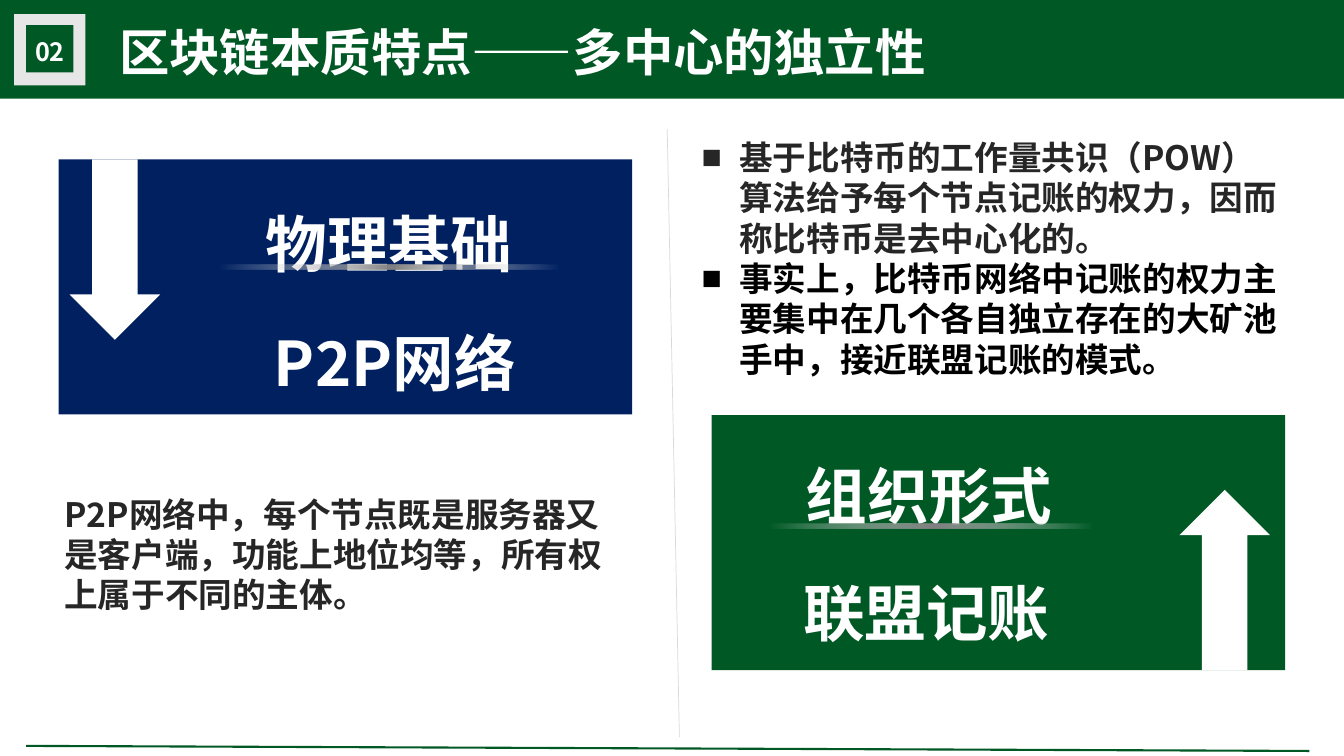
from lxml.etree import SubElement
from pptx import Presentation
from pptx.dml.color import RGBColor
from pptx.enum.shapes import MSO_CONNECTOR as Connector, MSO_SHAPE as Preset
from pptx.enum.text import MSO_ANCHOR as Anchor, MSO_AUTO_SIZE as AutoSize, PP_ALIGN as Align
from pptx.oxml.ns import qn
from pptx.util import Pt

FONT = "Noto Sans CJK SC"
COLORS = {
    "green": "005825", "navy": "002060", "white": "FFFFFF", "frame": "E7E6E6",
    "divider": "D9D9D9", "text": "262626", "black": "000000", "glow": "808080",
}
BODY_SIZE, BODY_LINE, BODY_TOP = 24, 28.8, 5.6
HEADING_SIZE = 44
BULLET_INDENT = 27


def color(name):
    return RGBColor.from_string(COLORS[name])


def place(shape, box):
    shape.left, shape.top, shape.width, shape.height = (Pt(value) for value in box)


def add_block(slide, preset, box, fill):
    shape = slide.shapes.add_shape(preset, *(Pt(value) for value in box))
    shape.shadow.inherit = False
    shape.line.fill.background()
    shape.fill.solid()
    shape.fill.fore_color.rgb = color(fill)
    return shape


def add_line(slide, start, end, line_color, width):
    ends = (Pt(value) for value in (*start, *end))
    line = slide.shapes.add_connector(Connector.STRAIGHT, *ends)
    line.line.color.rgb = color(line_color)
    line.line.width = Pt(width)
    SubElement(line.element.spPr, qn("a:effectLst"))


def add_glow(slide, box):
    """Thin bar that fades out at both ends."""
    bar = add_block(slide, Preset.RECTANGLE, box, "glow")
    bar.fill.gradient()
    bar.fill.gradient_angle = 0
    stops = bar.element.spPr.find(qn("a:gradFill")).find(qn("a:gsLst"))
    for stop in list(stops):
        stops.remove(stop)
    for position, name, alpha in ((0, "white", 0), (50, "glow", 100), (98, "white", 0)):
        stop = SubElement(stops, qn("a:gs"), pos=str(position * 1000))
        tone = SubElement(stop, qn("a:srgbClr"), val=COLORS[name])
        SubElement(tone, qn("a:alpha"), val=str(alpha * 1000))


def add_bullet(paragraph):
    properties = paragraph._p.get_or_add_pPr()
    properties.set("marL", str(Pt(BULLET_INDENT)))
    properties.set("indent", str(-Pt(BULLET_INDENT)))
    SubElement(properties, qn("a:buFont"), typeface="Arial")
    SubElement(properties, qn("a:buChar"), char="■")


def write_text(shape, texts, size, line, colors=("white",), align=Align.LEFT,
               wrap=True, top=3.6, bullets=False):
    frame = shape.text_frame
    frame.word_wrap = wrap
    frame.auto_size = AutoSize.NONE
    frame.vertical_anchor = Anchor.TOP
    frame.margin_left = frame.margin_right = Pt(7.2)
    frame.margin_top, frame.margin_bottom = Pt(top), Pt(3.6)
    for index, (text, text_color) in enumerate(zip(texts, colors)):
        paragraph = frame.add_paragraph() if index else frame.paragraphs[0]
        paragraph.alignment = align
        paragraph.line_spacing = Pt(line)
        paragraph.space_before = paragraph.space_after = Pt(0)
        if bullets:
            add_bullet(paragraph)
        run = paragraph.add_run()
        run.text = text
        run.font.size = Pt(size)
        run.font.bold = True
        run.font.color.rgb = color(text_color)
        run.font.name = FONT
        SubElement(run.font._element, qn("a:ea"), typeface=FONT)


def add_text(slide, box, text, **text_format):
    shape = slide.shapes.add_textbox(*(Pt(value) for value in box))
    write_text(shape, [text], **text_format)


def fill_placeholder(shape, box, texts, **text_format):
    place(shape, box)
    tree = shape.element.getparent()
    tree.append(shape.element)  # bring in front of the blocks
    write_text(shape, texts, **text_format)


def add_header(slide, box, number, title):
    left, top, width, height = box
    add_block(slide, Preset.RECTANGLE, box, "green")
    add_block(slide, Preset.RECTANGLE, (left + 10, top + 10, 51, 51), "frame")
    add_block(slide, Preset.RECTANGLE, (left + 18.7, top + 18, 33.8, 33.8), "green")
    add_text(slide, (left + 18, top + 22.3, 36.7, 28.8), number, size=18, line=22, wrap=False)
    fill_placeholder(slide.shapes.title, (left + 77.8, top + 8.6, 674.6, 51.1), [title],
                     size=36, line=46)


def add_panel(slide, box, fill, arrow, heading, name, glow):
    """Coloured panel; its parts are given as (preset or text, box, ...) offsets."""
    left, top, width, height = box

    def inside(part):
        return left + part[0], top + part[1], part[2], part[3]

    add_block(slide, Preset.RECTANGLE, box, fill)
    add_block(slide, arrow[0], inside(arrow[1]), "white")
    for text, part, line, align in (heading, name):
        add_text(slide, inside(part), text, size=HEADING_SIZE, line=line, align=align)
    add_glow(slide, inside(glow))


def add_left_column(slide, box):
    left, top, width, height = box
    add_panel(
        slide, (left + 2.9, top, 409.7, 182.2), "navy",
        arrow=(Preset.DOWN_ARROW, (7.9, 0, 64.8, 128.9)),
        heading=("物理基础", (141, 25.9, 232.6, 60.5), 57, Align.LEFT),
        name=("P2P网络", (146.8, 83.5, 214.6, 87.1), 84, Align.LEFT),
        glow=(115.2, 75.6, 247.7, 2.9))
    add_text(slide, (left, top + 233.2, width, 94.3),
             "P2P网络中，每个节点既是服务器又是客户端，功能上地位均等，所有权上属于不同的主体。",
             size=BODY_SIZE, line=BODY_LINE, colors=["text"], top=BODY_TOP)


def add_right_column(slide, box):
    left, top, width, height = box
    fill_placeholder(
        slide.placeholders[1], (left, top, width, 211),
        ["基于比特币的工作量共识（POW）算法给予每个节点记账的权力，因而称比特币是去中心化的。",
         "事实上，比特币网络中记账的权力主要集中在几个各自独立存在的大矿池手中，接近联盟记账的模式。"],
        size=BODY_SIZE, line=BODY_LINE, colors=["text", "black"], top=BODY_TOP, bullets=True)
    add_panel(
        slide, (left + 14.4, top + 204.4, 409.7, 182.2), "green",
        arrow=(Preset.UP_ARROW, (334.1, 53.3, 64.8, 128.9)),
        heading=("组织形式", (38.2, 23.1, 212.4, 60.5), 57, Align.RIGHT),
        name=("联盟记账", (58.3, 90, 213.8, 69.8), 73, Align.LEFT),
        glow=(41.1, 77.1, 236.2, 3.6))


def main():
    presentation = Presentation()
    presentation.slide_width, presentation.slide_height = Pt(960), Pt(540)
    slide = presentation.slides.add_slide(presentation.slide_layouts[1])
    add_header(slide, (0, 0, 960, 70.5), "02", "区块链本质特点——多中心的独立性")
    # Column divider and footer rule
    add_line(slide, (476.6, 92.2), (485.3, 526.3), "divider", 0.5)
    add_line(slide, (18.7, 532.8), (935.3, 536.4), "green", 1.5)
    add_left_column(slide, (38.9, 113.8, 416.2, 327.5))
    add_right_column(slide, (493.9, 92.2, 432, 386.6))
    presentation.save("out.pptx")


if __name__ == "__main__":
    main()
